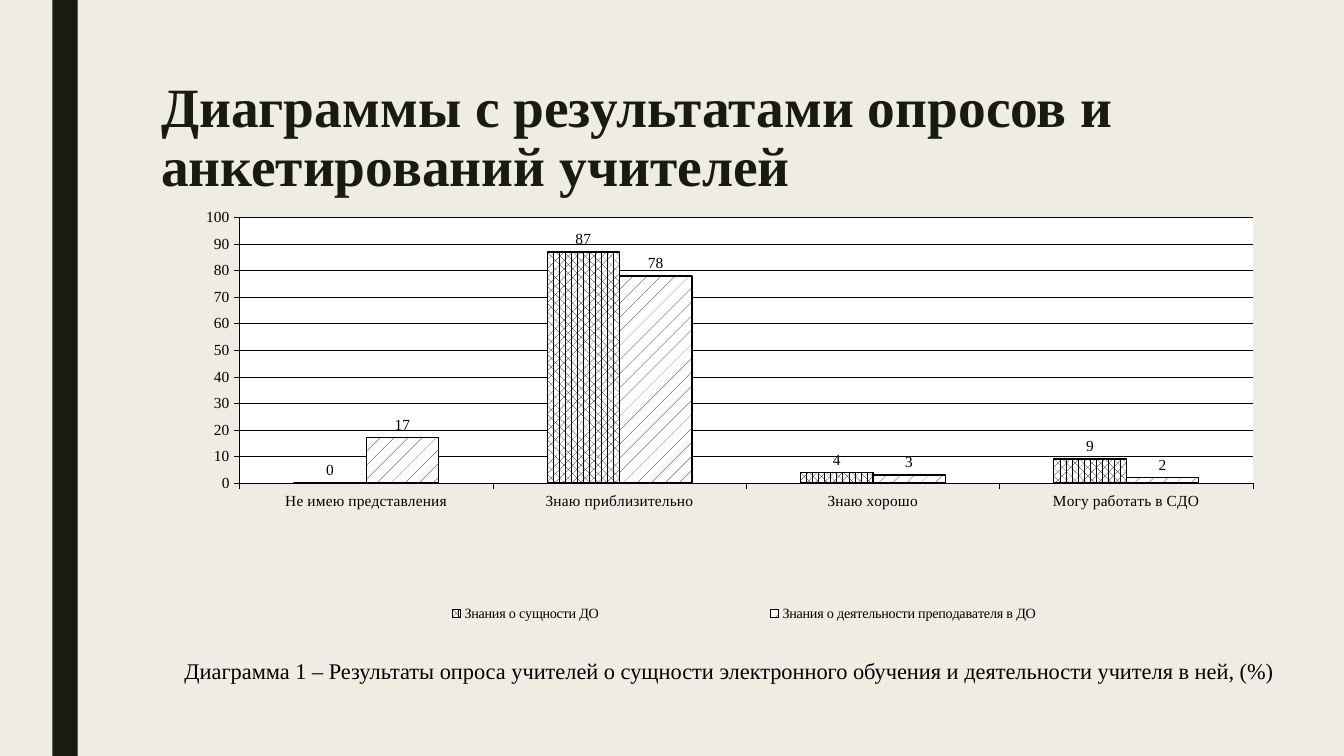
from lxml import etree
from pptx import Presentation
from pptx.chart.data import CategoryChartData
from pptx.dml.color import RGBColor
from pptx.enum.chart import XL_CHART_TYPE, XL_LABEL_POSITION, XL_LEGEND_POSITION, XL_TICK_MARK
from pptx.enum.dml import MSO_PATTERN
from pptx.enum.shapes import MSO_SHAPE
from pptx.enum.text import MSO_ANCHOR, PP_ALIGN
from pptx.oxml import parse_xml
from pptx.oxml.ns import nsdecls, qn
from pptx.util import Cm, Pt

COLUMNS = XL_CHART_TYPE.COLUMN_CLUSTERED
LABEL_ABOVE = XL_LABEL_POSITION.OUTSIDE_END
LEGEND_BOTTOM = XL_LEGEND_POSITION.BOTTOM
TICK_OUTSIDE = XL_TICK_MARK.OUTSIDE
TICK_NONE = XL_TICK_MARK.NONE
RECTANGLE = MSO_SHAPE.RECTANGLE
TOP = MSO_ANCHOR.TOP
LEFT = PP_ALIGN.LEFT
JUSTIFY = PP_ALIGN.JUSTIFY

FONT = "Times New Roman"
COLORS = {"background": "EFEDE3", "dark": "191B0E", "black": "000000", "white": "FFFFFF"}
CATEGORIES = ["Не имею представления", "Знаю приблизительно", "Знаю хорошо", "Могу работать в СДО"]
SERIES = [
    ("Знания о сущности ДО", (0, 87, 4, 9), MSO_PATTERN.PERCENT_60),
    ("Знания о деятельности преподавателя в ДО", (17, 78, 3, 2), MSO_PATTERN.PERCENT_5),
]


def color(name):
    return RGBColor.from_string(COLORS[name])


def style_font(font, size, color_name="black", bold=False):
    font.name = FONT
    font.size = Pt(size)
    font.bold = bold
    font.color.rgb = color(color_name)


def style_line(line, width):
    line.color.rgb = color("black")
    line.width = Pt(width)


def add_bar(slide, left, top, width, height):
    shape = slide.shapes.add_shape(RECTANGLE, left, top, width, height)
    shape.shadow.inherit = False
    shape.fill.solid()
    shape.fill.fore_color.rgb = color("dark")
    shape.line.fill.background()


def add_text(slide, box, text, size, color_name, bold, alignment, spacing):
    frame = slide.shapes.add_textbox(*box).text_frame
    frame.word_wrap = True
    frame.vertical_anchor = TOP
    paragraph = frame.paragraphs[0]
    paragraph.text = text
    paragraph.alignment = alignment
    paragraph.line_spacing = spacing
    style_font(paragraph.font, size, color_name, bold)
    return paragraph


def set_layout(element, index, left, top, width, height, inner=False):
    for old in element.findall(qn("c:layout")):
        element.remove(old)
    layout = etree.Element(qn("c:layout"))
    manual = etree.SubElement(layout, qn("c:manualLayout"))
    settings = [("layoutTarget", "inner")] if inner else []
    settings += [("xMode", "edge"), ("yMode", "edge"),
                 ("x", left), ("y", top), ("w", width), ("h", height)]
    for tag, value in settings:
        etree.SubElement(manual, qn(f"c:{tag}")).set("val", str(value))
    element.insert(index, layout)


def style_axis(axis):
    axis.major_tick_mark = TICK_OUTSIDE
    axis.minor_tick_mark = TICK_NONE
    style_font(axis.tick_labels.font, 11)
    style_line(axis.format.line, 0.23)


def style_series(series, pattern):
    fill = series.format.fill
    fill.patterned()
    fill.pattern = pattern
    fill.fore_color.rgb = color("black")
    fill.back_color.rgb = color("white")
    style_line(series.format.line, 0.92)
    labels = series.data_labels
    labels.show_value = True
    labels.position = LABEL_ABOVE
    style_font(labels.font, 11)


def style_plot_area(chart):
    plot_area = chart.plots[0]._element.getparent()
    set_layout(plot_area, 0, 0.079, 0.087, 0.906, 0.575, inner=True)
    plot_area.append(parse_xml(
        f'<c:spPr {nsdecls("c", "a")}><a:solidFill><a:srgbClr val="{COLORS["white"]}"/>'
        "</a:solidFill><a:ln><a:noFill/></a:ln></c:spPr>"))


def add_survey_chart(slide, box):
    data = CategoryChartData()
    data.categories = CATEGORIES
    for name, values, _ in SERIES:
        data.add_series(name, values)
    chart = slide.shapes.add_chart(COLUMNS, *box, data).chart
    chart.has_title = False
    style_font(chart.font, 11)

    plot = chart.plots[0]
    plot.gap_width = 150
    plot.overlap = 0
    plot.vary_by_categories = False
    for series, (_, _, pattern) in zip(plot.series, SERIES):
        style_series(series, pattern)

    style_axis(chart.category_axis)
    value_axis = chart.value_axis
    style_axis(value_axis)
    value_axis.minimum_scale = 0
    value_axis.maximum_scale = 100
    value_axis.major_unit = 10
    value_axis.has_major_gridlines = True
    style_line(value_axis.major_gridlines.format.line, 0.23)

    chart.has_legend = True
    legend = chart.legend
    legend.position = LEGEND_BOTTOM
    legend.include_in_layout = False
    style_font(legend.font, 10.1)
    set_layout(legend._element, 1, 0.12, 0.91, 0.82, 0.07)
    style_plot_area(chart)


def main():
    presentation = Presentation()
    presentation.slide_width = Cm(33.87)
    presentation.slide_height = Cm(19.05)
    slide = presentation.slides.add_slide(presentation.slide_layouts[6])
    slide.background.fill.solid()
    slide.background.fill.fore_color.rgb = color("background")

    add_bar(slide, Cm(1.32), Cm(0), Cm(0.64), presentation.slide_height)
    add_text(slide, (Cm(3.81), Cm(1.9), Cm(26.67), Cm(4.11)),
             "Диаграммы с результатами опросов и анкетирований учителей",
             39.6, "dark", True, LEFT, 0.89)
    add_survey_chart(slide, (Cm(3.81), Cm(4.47), Cm(28.19), Cm(11.63)))
    caption = add_text(
        slide, (Cm(3.15), Cm(16.1), Cm(31.65), Cm(1.17)),
        "Диаграмма 1 – Результаты опроса учителей о сущности электронного обучения "
        "и деятельности учителя в ней, (%)",
        16, "black", False, JUSTIFY, 1.5)
    caption._p.get_or_add_pPr().set("indent", str(Cm(1.25)))
    presentation.save("out.pptx")


if __name__ == "__main__":
    main()
